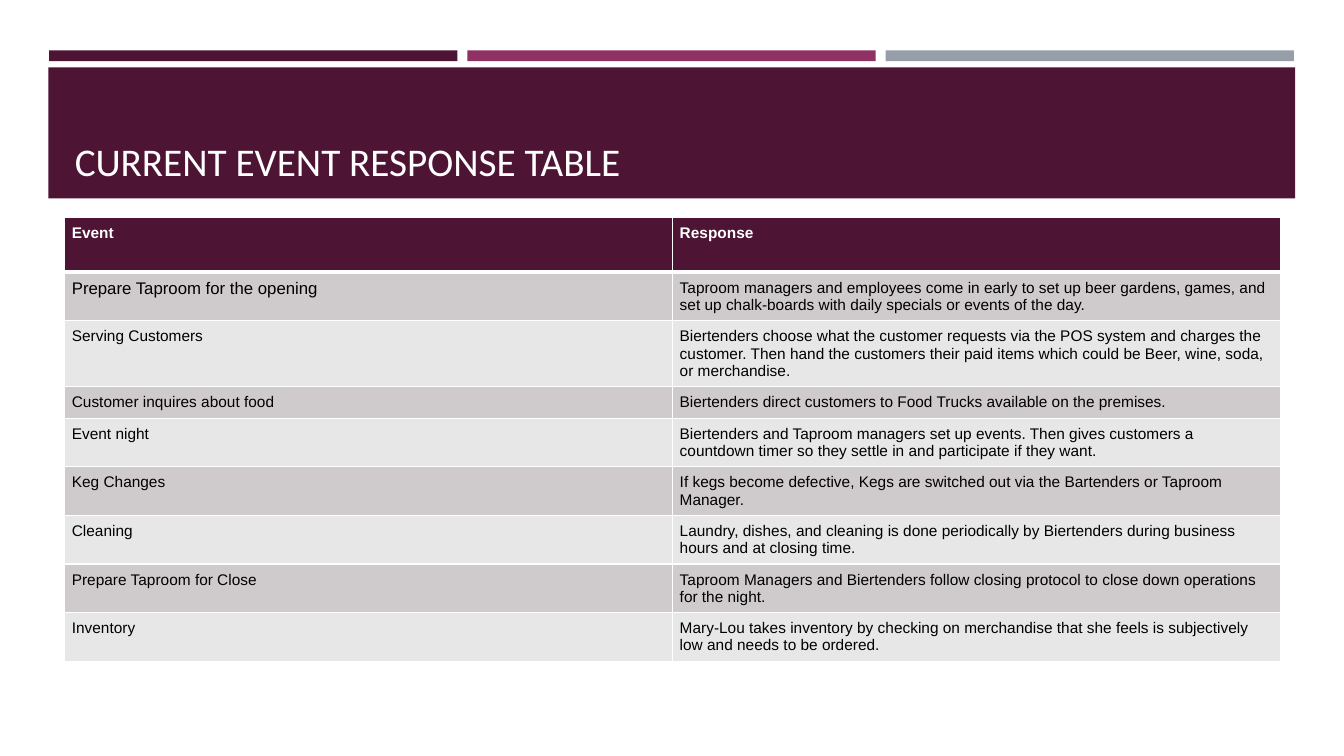
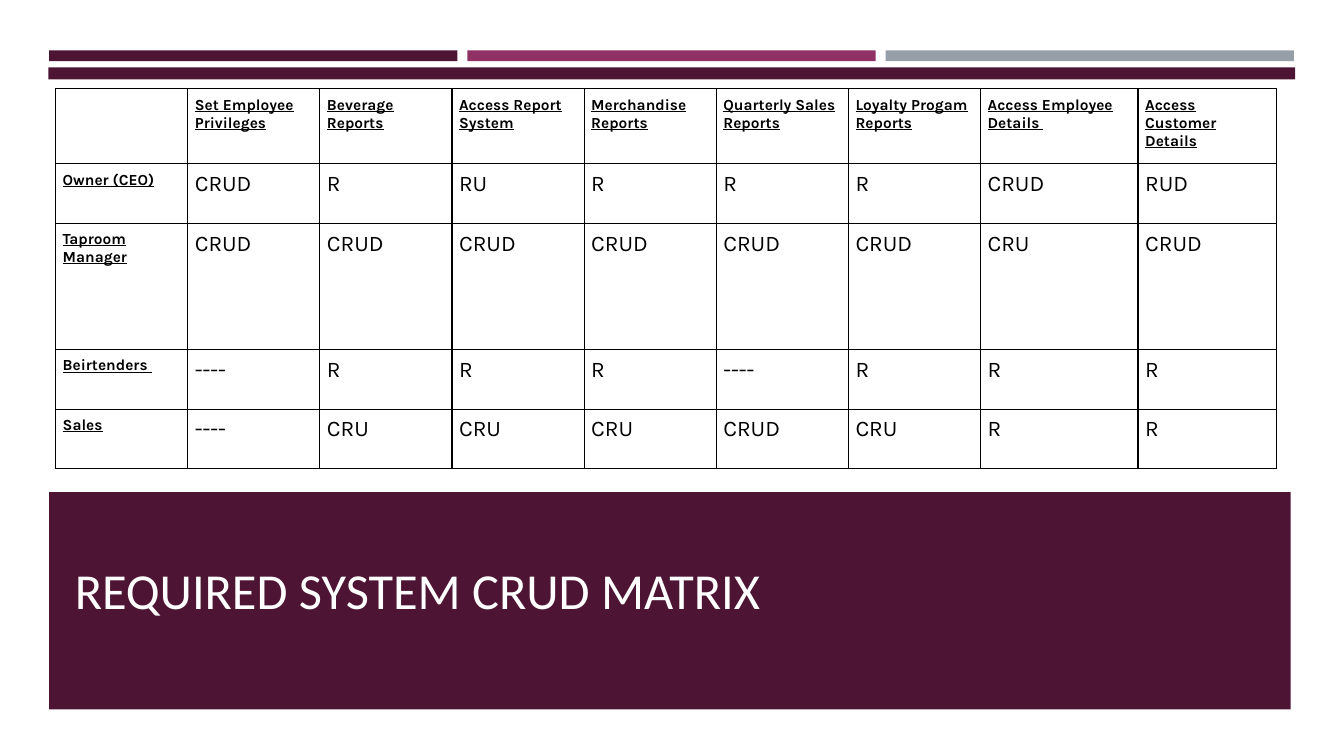
"""Build the taproom event response table and CRUD matrix slides."""
from lxml.etree import SubElement
from pptx import Presentation
from pptx.dml.color import RGBColor
from pptx.enum.shapes import MSO_SHAPE
from pptx.enum.text import MSO_ANCHOR, MSO_AUTO_SIZE, PP_ALIGN
from pptx.oxml import parse_xml
from pptx.oxml.ns import nsdecls, qn
from pptx.util import Cm, Pt

COLORS = {
    "plum": "4D1434",
    "magenta": "903163",
    "gray": "969FA7",
    "band_dark": "CFCACC",
    "band_light": "E8E7E7",
    "white": "FFFFFF",
    "black": "000000",
}

EVENTS = [
    ("Event", "Response"),
    ("Prepare Taproom for the opening",
     "Taproom managers and employees come in early to set up beer gardens, games, "
     "and set up chalk-boards with daily specials or events of the day."),
    ("Serving Customers",
     "Biertenders choose what the customer requests via the POS system and charges "
     "the customer. Then hand the customers their paid items which could be Beer, "
     "wine, soda, or merchandise."),
    ("Customer inquires about food",
     "Biertenders direct customers to Food Trucks available on the premises."),
    ("Event night",
     "Biertenders and Taproom managers set up events. Then gives customers a "
     "countdown timer so they settle in and participate if they want."),
    ("Keg Changes",
     "If kegs become defective, Kegs are switched out via the Bartenders or "
     "Taproom Manager."),
    ("Cleaning",
     "Laundry, dishes, and cleaning is done periodically by Biertenders during "
     "business hours and at closing time."),
    ("Prepare Taproom for Close",
     "Taproom Managers and Biertenders follow closing protocol to close down "
     "operations for the night."),
    ("Inventory",
     "Mary-Lou takes inventory by checking on merchandise that she feels is "
     "subjectively low and needs to be ordered."),
]

MATRIX = [
    ("", "Set Employee Privileges", "Beverage Reports", "Access Report System",
     "Merchandise Reports", "Quarterly Sales Reports", "Loyalty Progam Reports",
     "Access Employee Details ", "Access Customer Details"),
    ("Owner (CEO)", "CRUD", "R", "RU", "R", "R", "R", "CRUD", "RUD"),
    ("Taproom Manager", "CRUD", "CRUD", "CRUD", "CRUD", "CRUD", "CRUD", "CRU", "CRUD"),
    ("Beirtenders ", "----", "R", "R", "R", "----", "R", "R", "R"),
    ("Sales", "----", "CRU", "CRU", "CRU", "CRUD", "CRU", "R", "R"),
]


def rgb(name):
    """Return the named colour."""
    return RGBColor.from_string(COLORS[name])


def add_band(s, left, top, width, height, color):
    """Draw a plain filled rectangle, measured in centimetres."""
    sp = s.shapes.add_shape(MSO_SHAPE.RECTANGLE, Cm(left), Cm(top), Cm(width), Cm(height))
    sp.shadow.inherit = False
    sp.fill.solid()
    sp.fill.fore_color.rgb = rgb(color)
    sp.line.fill.background()


def add_slide(prs, band_height):
    """Add a slide with three accent bars above a plum band."""
    s = prs.slides.add_slide(prs.slide_layouts[5])
    for i, color in enumerate(("plum", "magenta", "gray")):
        add_band(s, 1.24 + i * 10.54, 1.27, 10.29, 0.27, color)
    add_band(s, 1.22, 1.7, 31.42, band_height, "plum")
    return s


def set_title(s, text, top, height, size):
    """Place the title in white at the bottom of its box, above the bands."""
    sp = s.shapes.title
    sp.left, sp.top, sp.width, sp.height = Cm(1.63), Cm(top), Cm(30.6), Cm(height)
    s.shapes._spTree.append(sp._element)
    tf = sp.text_frame
    tf.text = text
    tf.word_wrap = True
    tf.auto_size = MSO_AUTO_SIZE.NONE
    tf.vertical_anchor = MSO_ANCHOR.BOTTOM
    p = tf.paragraphs[0]
    p.alignment = PP_ALIGN.LEFT
    p.line_spacing = 0.9
    p.font.name, p.font.size = "Calibri", Pt(size)
    p.font.color.rgb = rgb("white")


def set_borders(cell, color, top=1, bottom=1):
    """Draw the four cell borders, with widths in points."""
    tcPr = cell._tc.get_or_add_tcPr()
    sides = {"lnL": 1, "lnR": 1, "lnT": top, "lnB": bottom}
    for i, (side, width) in enumerate(sides.items()):
        ln = parse_xml(f'<a:{side} {nsdecls("a")} w="{Pt(width)}"/>')
        fill = SubElement(ln, qn("a:solidFill"))
        SubElement(fill, qn("a:srgbClr"), val=COLORS[color])
        tcPr.insert(i, ln)


def fill_cell(cell, text, font, size, color="black", bold=False, underline=False, fill=None):
    """Write and format one table cell."""
    cell.margin_left = cell.margin_right = Cm(0.18)
    cell.margin_top = cell.margin_bottom = Cm(0.18)
    cell.text = text
    f = cell.text_frame.paragraphs[0].font
    f.name, f.size, f.bold, f.underline = font, Pt(size), bold, underline
    f.color.rgb = rgb(color)
    if fill:
        cell.fill.solid()
        cell.fill.fore_color.rgb = rgb(fill)
    else:
        cell.fill.background()


def add_grid(s, left, top, widths, heights):
    """Add an unstyled table with the given column widths and row heights."""
    table = s.shapes.add_table(len(heights), len(widths), Cm(left), Cm(top),
                               Cm(sum(widths)), Cm(sum(heights))).table
    table.first_row = table.horz_banding = False
    for col, width in zip(table.columns, widths):
        col.width = Cm(width)
    for row, height in zip(table.rows, heights):
        row.height = Cm(height)
    return table


def add_event_table(s):
    """Add the banded table of events and responses."""
    heights = [1.37, 1.22, 1.66, 0.78] + [1.22] * 5
    table = add_grid(s, 1.63, 5.49, [15.32] * 2, heights)
    for r, row in enumerate(EVENTS):
        for c, text in enumerate(row):
            cell = table.cell(r, c)
            if r == 0:
                fill_cell(cell, text, "Arial", 11, "white", bold=True, fill="plum")
            else:
                size = 12 if (r, c) == (1, 0) else 11
                fill = "band_dark" if r % 2 else "band_light"
                fill_cell(cell, text, "Arial", size, fill=fill)
            set_borders(cell, "white", top=3 if r == 1 else 1, bottom=3 if r == 0 else 1)


def add_crud_matrix(s):
    """Add the grid of access rights by role."""
    widths = [3.33] * 7 + [3.97, 3.48]
    table = add_grid(s, 1.4, 2.24, widths, [1.89, 1.5, 3.18, 1.5, 1.5])
    for r, row in enumerate(MATRIX):
        for c, text in enumerate(row):
            cell = table.cell(r, c)
            head = r == 0 or c == 0
            fill_cell(cell, text, "Karla", 11 if head else 16, bold=head, underline=head)
            set_borders(cell, "black")


def main():
    """Build and save both slides."""
    prs = Presentation()
    prs.slide_width, prs.slide_height = Cm(33.87), Cm(19.05)

    s = add_slide(prs, 3.3)
    set_title(s, "CURRENT EVENT RESPONSE TABLE", 1.96, 2.82, 28)
    add_event_table(s)

    s = add_slide(prs, 0.3)
    add_band(s, 1.24, 12.4, 31.29, 5.48, "plum")
    set_title(s, "REQUIRED SYSTEM CRUD MATRIX", 12.8, 2.97, 36)
    add_crud_matrix(s)

    prs.save("out.pptx")


if __name__ == "__main__":
    main()
